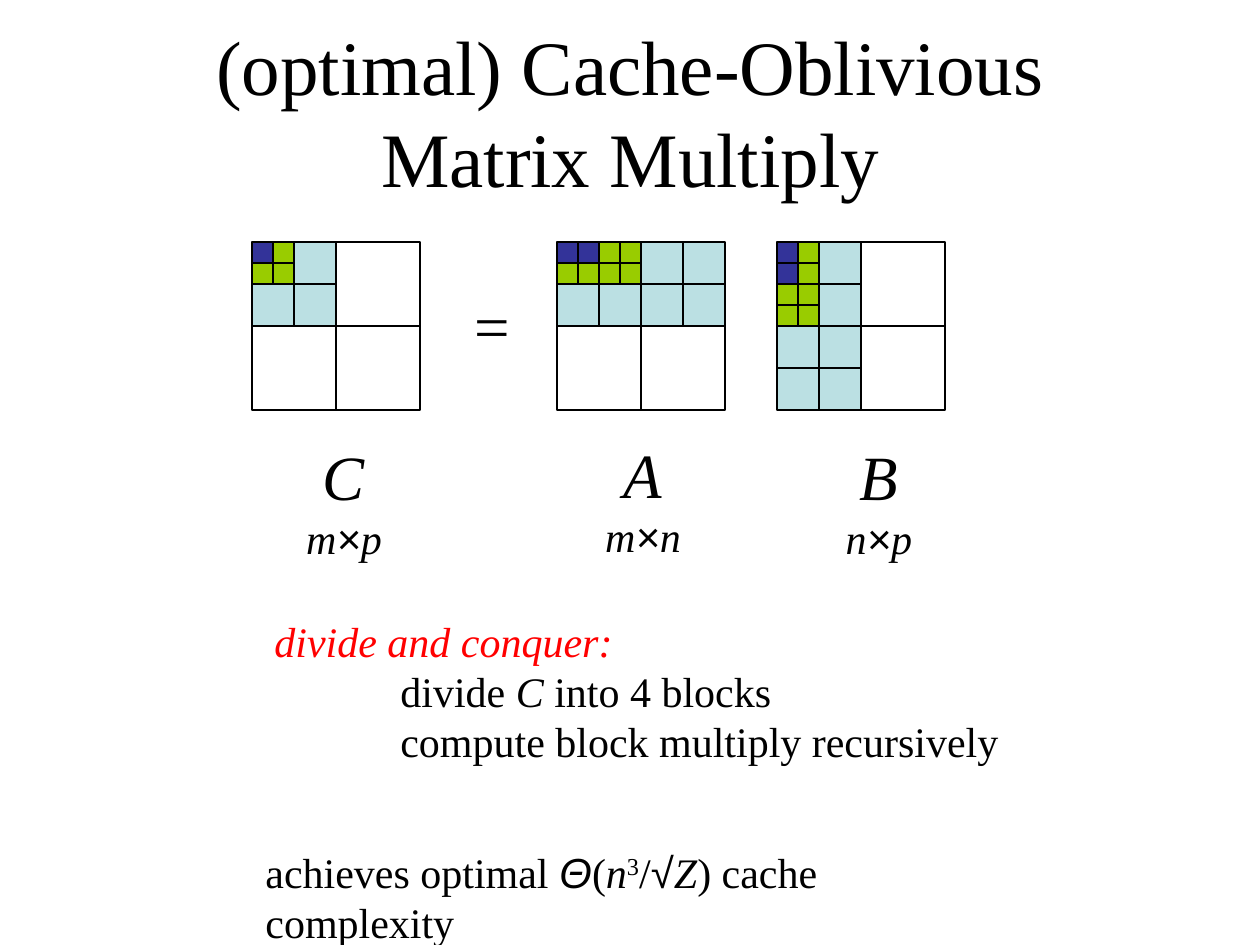
from pptx import Presentation
from pptx import util as u
from pptx.dml.color import RGBColor
from pptx.enum import shapes, text

EMU_PER_PX = 914400 // 126
SERIF, SANS = "Times New Roman", "Arial"
BLACK = RGBColor(0x00, 0x00, 0x00)
RED = RGBColor(0xFF, 0x00, 0x00)
NAVY = RGBColor(0x33, 0x33, 0x99)
GREEN = RGBColor(0x99, 0xCC, 0x00)
PALE = RGBColor(0xBB, 0xE0, 0xE3)

MATRIX_TOP, MATRIX_SIZE = 242, 168
LINE_FACTOR = 1.2

# A block is a fill, None for unfilled, or four quarters:
# top left, top right, bottom left, bottom right.
ALL_GREEN, ALL_PALE = (GREEN,) * 4, (PALE,) * 4
MATRIX_C = (((NAVY, GREEN, GREEN, GREEN), PALE, PALE, PALE), None, None, None)
MATRIX_A = (((NAVY, NAVY, GREEN, GREEN), ALL_GREEN, PALE, PALE), ALL_PALE, None, None)
MATRIX_B = (((NAVY, GREEN, NAVY, GREEN), PALE, ALL_GREEN, PALE), None, ALL_PALE, None)


def px(length):
    return u.Emu(round(length * EMU_PER_PX))


def add_text_box(slide, left, top, width, height, wrap=False):
    box = slide.shapes.add_textbox(px(left), px(top), px(width), px(height))
    box.text_frame.word_wrap = wrap
    return box.text_frame


def add_paragraph(frame, size, runs, align=text.PP_ALIGN.LEFT, indent=0):
    """Fill the empty first paragraph, or append one; runs are add_run arguments."""
    paragraph = frame.paragraphs[0]
    if paragraph.runs:
        paragraph = frame.add_paragraph()
    paragraph.alignment = align
    paragraph.line_spacing = u.Pt(size * LINE_FACTOR)
    if indent:
        paragraph._p.get_or_add_pPr().set("marL", str(px(indent)))
    for run in runs:
        add_run(paragraph, size, *run)


def add_run(paragraph, size, words, italic=False, font=SERIF, color=BLACK, raised=False):
    run = paragraph.add_run()
    run.text = words
    run.font.size = u.Pt(size)
    run.font.name = font
    run.font.italic = italic
    run.font.color.rgb = color
    if raised:
        run.font._element.set("baseline", "30000")


def add_block(slide, left, top, size, block):
    """Draw one block, or its four quarters recursively."""
    if isinstance(block, tuple) and not isinstance(block, RGBColor):
        half = size / 2
        for index, quarter in enumerate(block):
            row, column = divmod(index, 2)
            add_block(slide, left + column * half, top + row * half, half, quarter)
        return
    shape = slide.shapes.add_shape(
        shapes.MSO_SHAPE.RECTANGLE, px(left), px(top), px(size), px(size))
    shape.shadow.inherit = False
    shape.line.color.rgb = BLACK
    shape.line.width = u.Pt(0.75)
    if block is None:
        shape.fill.background()
    else:
        shape.fill.solid()
        shape.fill.fore_color.rgb = block


def add_matrix_label(slide, left, top, width, name, rows, columns):
    frame = add_text_box(slide, left, top, width, 139)
    center = text.PP_ALIGN.CENTER
    add_paragraph(frame, 36, [(name, True)], center)
    add_paragraph(frame, 24, [(rows, True), ("×", True, SANS), (columns, True)], center)


def add_title(slide):
    frame = add_text_box(slide, 95, 32, 1071, 157, wrap=True)
    frame.vertical_anchor = text.MSO_ANCHOR.MIDDLE
    add_paragraph(frame, 44, [("(optimal) Cache-Oblivious Matrix Multiply",)],
                  text.PP_ALIGN.CENTER)


def add_algorithm(slide):
    frame = add_text_box(slide, 262, 609, 750, 164)
    add_paragraph(frame, 24, [("divide and conquer:", True, SERIF, RED)])
    add_paragraph(frame, 24, [("divide ",), ("C ", True), ("into 4 blocks",)], indent=126)
    add_paragraph(frame, 24, [("compute block multiply recursively",)], indent=126)


def add_complexity(slide):
    frame = add_text_box(slide, 253, 840, 774, 63, wrap=True)
    add_paragraph(frame, 24, [
        ("achieves optimal ",), ("Θ", True, SANS), ("(",), ("n", True),
        ("3", False, SERIF, BLACK, True), ("/",), ("√", False, SANS),
        ("Z", True), (") cache complexity",)])


def main():
    presentation = Presentation()
    presentation.slide_width, presentation.slide_height = px(1260), px(945)
    slide = presentation.slides.add_slide(presentation.slide_layouts[6])

    add_title(slide)
    add_paragraph(add_text_box(slide, 462, 280, 60, 88), 36, [("=",)])
    add_matrix_label(slide, 289, 431, 110, "C", "m", "p")
    add_matrix_label(slide, 588, 429, 110, "A", "m", "n")
    add_matrix_label(slide, 829, 431, 100, "B", "n", "p")
    for left, matrix in ((252, MATRIX_C), (557, MATRIX_A), (777, MATRIX_B)):
        add_block(slide, left, MATRIX_TOP, MATRIX_SIZE, matrix)
    add_algorithm(slide)
    add_complexity(slide)

    presentation.save("out.pptx")


if __name__ == "__main__":
    main()
